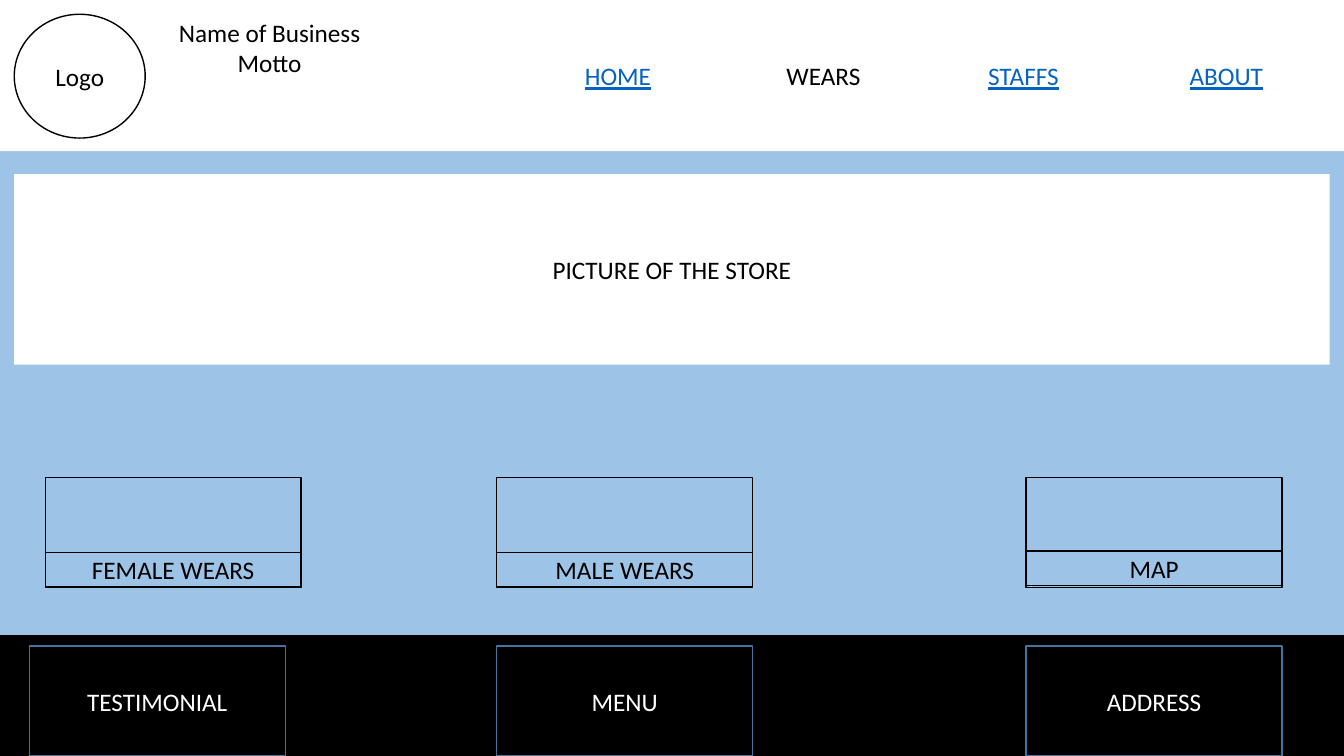
from dataclasses import dataclass
from lxml.etree import SubElement
from pptx import Presentation
from pptx.dml.color import RGBColor
from pptx.enum.shapes import MSO_SHAPE
from pptx.enum.text import MSO_ANCHOR, MSO_AUTO_SIZE, PP_ALIGN
from pptx.oxml.ns import qn
from pptx.util import Cm, Pt


@dataclass(frozen=True)
class Theme:
    font: str = "Calibri"
    size: int = 18
    line: float = 1
    black: str = "000000"
    white: str = "FFFFFF"
    sky: str = "9DC3E6"
    link: str = "0563C1"
    frame: str = "43739E"


theme = Theme()

heading = ["Name of Business", "Motto"]
menu = [("HOME", True), ("WEARS", False), ("STAFFS", True), ("ABOUT", True)]
cards = [("FEMALE WEARS", 1.14, 13.92), ("MALE WEARS", 12.52, 13.92), ("MAP", 25.86, 13.89)]
footer = [("TESTIMONIAL", 0.74), ("MENU", 12.52), ("ADDRESS", 25.86)]

page_width, page_height = 33.87, 19.05
band_height = 19.3
banner_height = 3.81
margin = 0.36
logo_width, logo_height = 3.3, 3.12
menu_left, menu_step = 14.74, 5.08
store_top, store_height = 4.39, 4.8
box_width, box_height = 6.45, 2.77
card_top, label_height = 12.04, 0.86
footer_top, footer_box_top = 16.03, 16.28


def add_span(para, text, color=theme.black, underline=False):
    span = para.add_run()
    span.text = text
    span.font.name = theme.font
    span.font.size = Pt(theme.size)
    span.font.color.rgb = RGBColor.from_string(color)
    span.font.underline = underline


def write(box, text, color=theme.black):
    frame = box.text_frame
    frame.word_wrap = True
    frame.auto_size = MSO_AUTO_SIZE.NONE
    frame.vertical_anchor = MSO_ANCHOR.MIDDLE
    frame.margin_top = frame.margin_bottom = 0
    for index, line in enumerate(text.split("\n")):
        para = frame.add_paragraph() if index else frame.paragraphs[0]
        para.alignment = PP_ALIGN.CENTER
        para.space_before = para.space_after = Pt(0)
        para.line_spacing = 1.0
        add_span(para, line, color)


def add_box(left, top, width, height, kind=MSO_SHAPE.RECTANGLE, fill=None, line=None,
            text=None, color=theme.black):
    box = page.shapes.add_shape(kind, Cm(left), Cm(top), Cm(width), Cm(height))
    box.shadow.inherit = False
    if fill:
        box.fill.solid()
        box.fill.fore_color.rgb = RGBColor.from_string(fill)
    else:
        box.fill.background()
    if line:
        box.line.color.rgb = RGBColor.from_string(line)
        box.line.width = Pt(theme.line)
    else:
        box.line.fill.background()
    if text:
        write(box, text, color)
    return box


def add_menu(box):
    frame = box.text_frame
    frame.word_wrap = True
    frame.vertical_anchor = MSO_ANCHOR.MIDDLE
    frame.margin_left = Cm(menu_left)
    frame.margin_right = 0
    para = frame.paragraphs[0]
    para.alignment = PP_ALIGN.LEFT
    stops = SubElement(para._p.get_or_add_pPr(), qn("a:tabLst"))
    for index, (text, linked) in enumerate(menu):
        if index:
            SubElement(stops, qn("a:tab"), pos=str(Cm(index * menu_step)), algn="l")
            add_span(para, "\t")
        add_span(para, text, theme.link if linked else theme.black, linked)


deck = Presentation()
deck.slide_width, deck.slide_height = Cm(page_width), Cm(page_height)
page = deck.slides.add_slide(deck.slide_layouts[5])

add_box(0, 0, page_width, band_height, fill=theme.sky)
add_menu(add_box(0, 0, page_width, banner_height, fill=theme.white))
add_box(margin, margin, logo_width, logo_height, kind=MSO_SHAPE.OVAL, line=theme.black, text="Logo")

title = page.shapes.title
title.left, title.top = Cm(margin + logo_width), Cm(margin)
title.width, title.height = Cm(6.27), Cm(1.68)
write(title, "\n".join(heading))
page.shapes.element.append(title.element)

add_box(0, footer_top, page_width, band_height - footer_top, fill=theme.black, line=theme.black)
for text, left in footer:
    add_box(left, footer_box_top, box_width, box_height, line=theme.frame, text=text, color=theme.white)

add_box(margin, store_top, page_width - 2 * margin, store_height, fill=theme.white,
        text="PICTURE OF THE STORE")
for text, left, label_top in cards:
    add_box(left, card_top, box_width, box_height, line=theme.black)
    add_box(left, label_top, box_width, label_height, line=theme.black, text=text)

deck.save("out.pptx")
